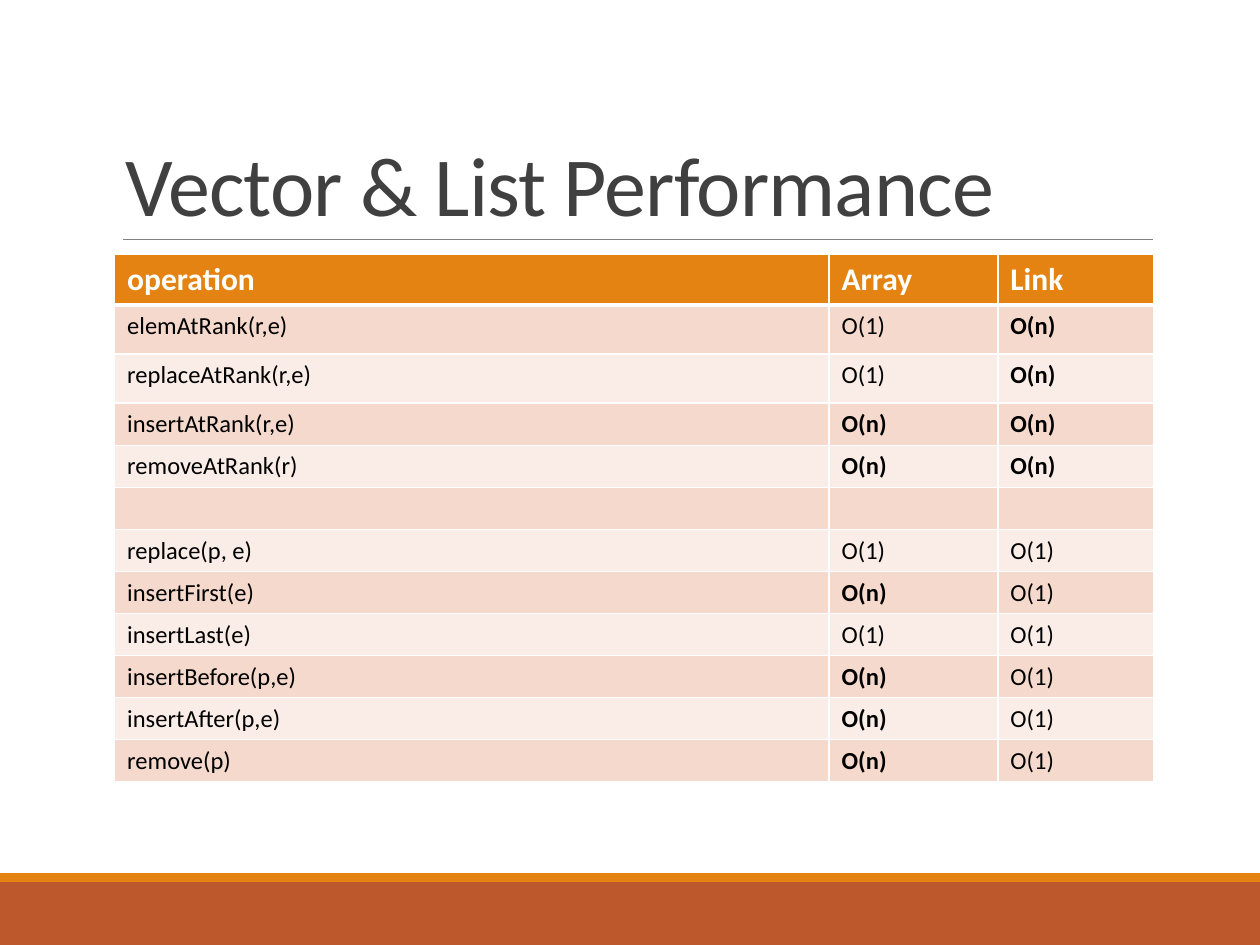
from lxml import etree
from pptx import Presentation
from pptx import util as u
from pptx.dml.color import RGBColor
from pptx.enum import shapes, text
from pptx.oxml.ns import qn

WHITE = RGBColor(0xFF, 0xFF, 0xFF)
BLACK = RGBColor(0, 0, 0)
DARK = RGBColor(0x40, 0x40, 0x40)
GRAY = RGBColor(0x80, 0x80, 0x80)
RUST = RGBColor(0xBD, 0x58, 0x2C)
ORANGE = RGBColor(0xE4, 0x83, 0x12)
BANDS = (RGBColor(0xFA, 0xED, 0xE7), RGBColor(0xF5, 0xD9, 0xCC))

HEAD = ("operation", "Array", "Link")
COSTS = (
    ("elemAtRank(r,e)", "O(1)", "O(n)"),
    ("replaceAtRank(r,e)", "O(1)", "O(n)"),
    ("insertAtRank(r,e)", "O(n)", "O(n)"),
    ("removeAtRank(r)", "O(n)", "O(n)"),
    ("", "", ""),
    ("replace(p, e)", "O(1)", "O(1)"),
    ("insertFirst(e)", "O(n)", "O(1)"),
    ("insertLast(e)", "O(1)", "O(1)"),
    ("insertBefore(p,e)", "O(n)", "O(1)"),
    ("insertAfter(p,e)", "O(n)", "O(1)"),
    ("remove(p)", "O(n)", "O(1)"),
)
WIDTHS = (5.67, 1.34, 1.24)
HEIGHTS = (0.39,) * 3 + (0.33,) * 9


class Deck:
    """Holds the style and the current slide."""

    face = "Calibri"

    def __init__(self):
        self.prs = Presentation()
        self.prs.slide_width = u.Inches(10)
        self.prs.slide_height = u.Inches(7.5)
        self.slide = self.prs.slides.add_slide(self.prs.slide_layouts[6])

    def style(self, para, size, color, bold=False):
        font = para.font
        font.name, font.size, font.bold = self.face, u.Pt(size), bold
        font.color.rgb = color

    def bar(self, top, height, color):
        rect = self.slide.shapes.add_shape(
            shapes.MSO_SHAPE.RECTANGLE, 0, u.Inches(top),
            self.prs.slide_width, u.Inches(height))
        rect.shadow.inherit = False
        rect.fill.solid()
        rect.fill.fore_color.rgb = color
        rect.line.fill.background()

    def rule(self, left, right, y):
        line = self.slide.shapes.add_connector(
            shapes.MSO_CONNECTOR.STRAIGHT, u.Inches(left), u.Inches(y),
            u.Inches(right), u.Inches(y))
        line.line.color.rgb = GRAY
        line.line.width = u.Pt(0.5)
        etree.SubElement(line._element.spPr, qn("a:effectLst"))

    def title(self, words, left, top, width, height):
        box = self.slide.shapes.add_textbox(
            *map(u.Inches, (left, top, width, height)))
        frame = box.text_frame
        frame.word_wrap = True
        frame.vertical_anchor = text.MSO_ANCHOR.BOTTOM
        para = frame.paragraphs[0]
        para.line_spacing = 0.85
        run = para.add_run()
        run.text = words
        run._r.get_or_add_rPr().set("spc", "-50")
        self.style(para, 48, DARK)

    def edges(self, cell, under):
        props = cell._tc.get_or_add_tcPr()
        sides = (("L", 1), ("R", 1), ("T", 1), ("B", under))
        for spot, (side, width) in enumerate(sides):
            edge = etree.Element(qn("a:ln" + side), w=str(u.Pt(width)))
            fill = etree.SubElement(edge, qn("a:solidFill"))
            etree.SubElement(fill, qn("a:srgbClr"), val=str(WHITE))
            props.insert(spot, edge)

    def cell(self, cell, words, fill, size, color, bold, under=1):
        cell.fill.solid()
        cell.fill.fore_color.rgb = fill
        self.edges(cell, under)
        para = cell.text_frame.paragraphs[0]
        if words:
            para.text = words
        else:
            # An empty cell keeps its row height through the end mark
            etree.SubElement(para._p, qn("a:endParaRPr"), sz=str(size * 100))
        self.style(para, size, color, bold)

    def table(self, left, top):
        grid = self.slide.shapes.add_table(
            len(HEIGHTS), len(WIDTHS), u.Inches(left), u.Inches(top),
            u.Inches(sum(WIDTHS)), u.Inches(sum(HEIGHTS))).table
        for col, width in zip(grid.columns, WIDTHS):
            col.width = u.Inches(width)
        for row, height in zip(grid.rows, HEIGHTS):
            row.height = u.Inches(height)
        for c, words in enumerate(HEAD):
            self.cell(grid.cell(0, c), words, ORANGE, 18, WHITE, True, 3)
        for r, row in enumerate(COSTS, 1):
            for c, words in enumerate(row):
                self.cell(grid.cell(r, c), words, BANDS[r % 2], 14, BLACK,
                          words == "O(n)", 1)
        # Both sides of the header's lower edge share one weight
        for c in range(len(HEAD)):
            edge = grid.cell(1, c)._tc.tcPr.find(qn("a:lnT"))
            edge.set("w", str(u.Pt(3)))


def main():
    deck = Deck()
    # Footer bands
    deck.bar(7, 0.5, RUST)
    deck.bar(6.93, 0.07, ORANGE)
    # Heading
    deck.rule(0.98, 9.15, 1.9)
    deck.title("Vector & List Performance", 0.9, 0.31, 8.25, 1.59)
    # Running times
    deck.table(0.91, 2.02)
    deck.prs.save("out.pptx")


if __name__ == "__main__":
    main()
